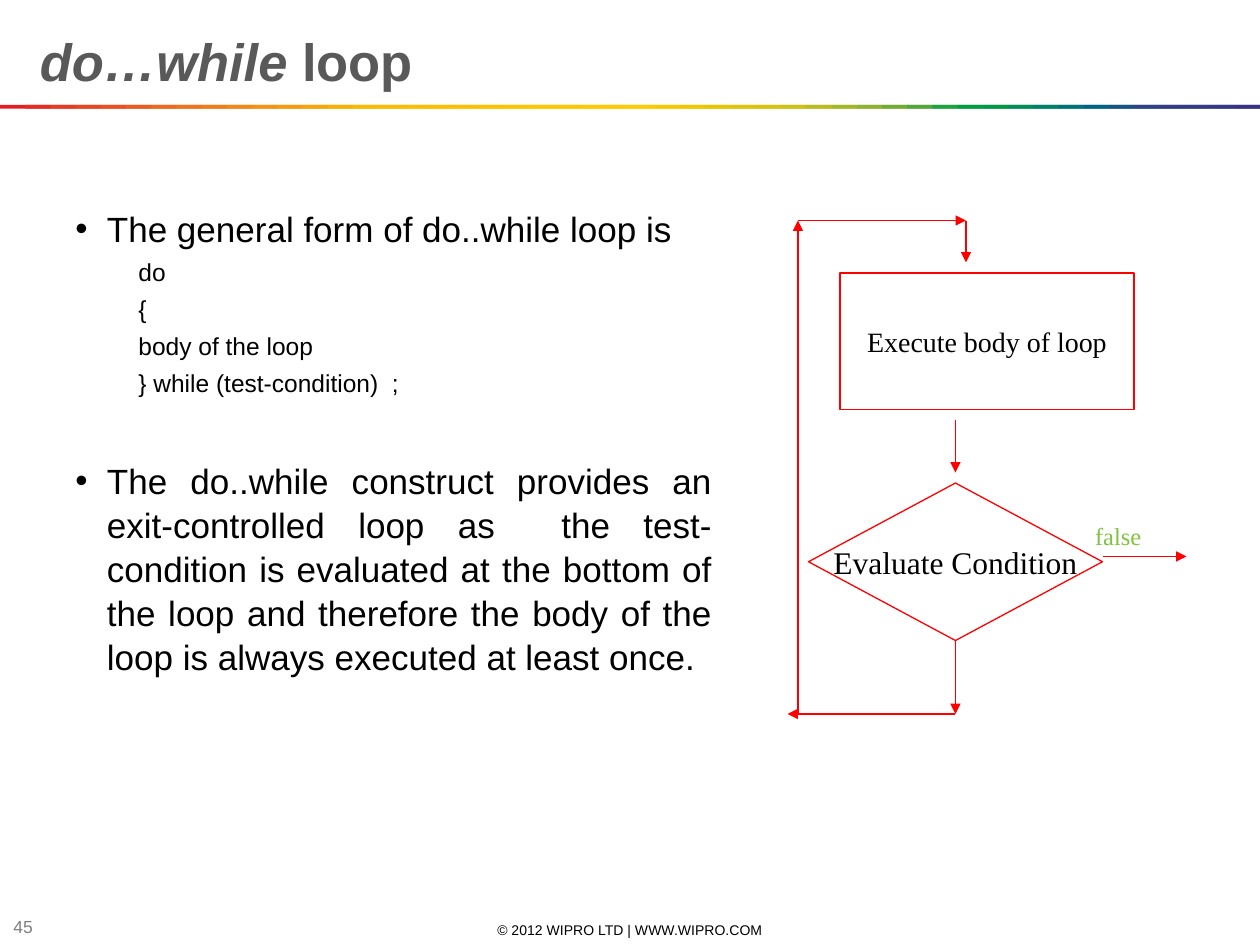
from dataclasses import dataclass
from lxml.etree import SubElement
from pptx import Presentation
from pptx.dml.color import RGBColor
from pptx.enum.shapes import MSO_CONNECTOR, MSO_SHAPE
from pptx.enum.text import MSO_ANCHOR, PP_ALIGN
from pptx.oxml.ns import qn
from pptx.util import Inches, Pt

COLUMNS, ROWS = 120, 90
RAINBOW = """
E31E24 E42C24 E53A24 E74623 E85122 EA5D21 EC691F EE741D EF7E1A F18817
F39314 F49C0F F6A607 F8B002 FBBA00 FBBB00 FBBD00 FCBF00 FCC000 FCC200
FDC400 FDC600 FDC700 FEC900 FECB00 FBCB00 F3CA00 ECC800 E4C602 DCC50A
D5C30E CCC117 B8BC21 A3B829 8CB230 71AD36 51A73B 1DA240 009D43 009846
008C57 008068 007275 00637F 185384 2E4285 313E85 333B85 353885 393185
""".split()
CODE_LINES = ["do", "{", "body of the loop", "} while (test-condition)  ;"]
CONSTRUCT = (
    "The do..while construct provides an exit-controlled loop as  the "
    "test-condition is evaluated at the bottom of the loop and therefore "
    "the body of the loop is always executed at least once."
)


def color(hex_text):
    return RGBColor.from_string(hex_text)


@dataclass
class SlideBuilder:
    """Draws styled elements on a grid laid over the current slide."""

    presentation: object
    slide: object = None
    sans: str = "Arial"
    serif: str = "Times New Roman"
    ink: str = "000000"
    flow: str = "FF0000"
    flow_width: float = 0.75
    leading: float = 1.05

    def x(self, columns):
        return round(self.presentation.slide_width * columns / COLUMNS)

    def y(self, rows):
        return round(self.presentation.slide_height * rows / ROWS)

    def box(self, left, top, width, height):
        return self.x(left), self.y(top), self.x(width), self.y(height)

    def add_slide(self):
        self.slide = self.presentation.slides.add_slide(self.presentation.slide_layouts[5])

    def run(self, paragraph, text, size, font=None, hex_text=None, bold=None, italic=None):
        run = paragraph.add_run()
        run.text = text
        run.font.name = font or self.sans
        run.font.size = Pt(size)
        run.font.bold, run.font.italic = bold, italic
        run.font.color.rgb = color(hex_text or self.ink)

    def title(self, place, runs, size, hex_text):
        title = self.slide.shapes.title
        title.left, title.top, title.width, title.height = self.box(*place)
        title.text_frame.vertical_anchor = MSO_ANCHOR.MIDDLE
        paragraph = title.text_frame.paragraphs[0]
        paragraph.alignment = PP_ALIGN.LEFT
        paragraph.line_spacing = self.leading
        for text, italic in runs:
            self.run(paragraph, text, size, hex_text=hex_text, bold=True, italic=italic)

    def text_box(self, place, anchor=MSO_ANCHOR.TOP):
        frame = self.slide.shapes.add_textbox(*self.box(*place)).text_frame
        frame.word_wrap = True
        frame.vertical_anchor = anchor
        return frame

    def label(self, place, text, size, align, anchor=MSO_ANCHOR.MIDDLE, **style):
        paragraph = self.text_box(place, anchor).paragraphs[0]
        paragraph.alignment = align
        self.run(paragraph, text, size, **style)

    def indented(self, paragraph, text, size, margin, hanging, before=0, bullet=None):
        properties = paragraph._p.get_or_add_pPr()
        properties.set("marL", str(Inches(margin)))
        properties.set("indent", str(-Inches(hanging)))
        if bullet:
            bullet_color = SubElement(properties, qn("a:buClr"))
            SubElement(bullet_color, qn("a:srgbClr"), val=self.ink)
            SubElement(properties, qn("a:buFont"), typeface=self.sans)
            SubElement(properties, qn("a:buChar"), char=bullet)
        paragraph.alignment = PP_ALIGN.JUSTIFY if bullet else PP_ALIGN.LEFT
        paragraph.line_spacing = self.leading
        paragraph.space_before = Pt(before)
        self.run(paragraph, text, size)

    def rainbow_rule(self, top, height):
        group = self.slide.shapes.add_group_shape()
        step = COLUMNS / len(RAINBOW)
        for index, hex_text in enumerate(RAINBOW):
            left = index * step
            width = min(2 * step, COLUMNS - left)
            shape = group.shapes.add_shape(MSO_SHAPE.RECTANGLE, *self.box(left, top, width, height))
            shape.shadow.inherit = False
            shape.fill.solid()
            shape.fill.fore_color.rgb = color(hex_text)
            shape.line.fill.background()

    def flow_step(self, kind, place, text, size):
        shape = self.slide.shapes.add_shape(kind, *self.box(*place))
        shape.shadow.inherit = False
        shape.fill.background()
        shape.line.color.rgb = color(self.flow)
        shape.line.width = Pt(self.flow_width)
        frame = shape.text_frame
        frame.word_wrap = False
        frame.vertical_anchor = MSO_ANCHOR.MIDDLE
        frame.paragraphs[0].alignment = PP_ALIGN.CENTER
        self.run(frame.paragraphs[0], text, size, self.serif)
        return shape

    def arrow(self, start, end):
        connector = self.slide.shapes.add_connector(
            MSO_CONNECTOR.STRAIGHT,
            self.x(start[0]), self.y(start[1]), self.x(end[0]), self.y(end[1]),
        )
        connector.line.color.rgb = color(self.flow)
        connector.line.width = Pt(self.flow_width)
        SubElement(connector.line._get_or_add_ln(), qn("a:tailEnd"), type="triangle")
        SubElement(connector._element.spPr, qn("a:effectLst"))
        return connector


def main():
    presentation = Presentation()
    presentation.slide_width, presentation.slide_height = Inches(10), Inches(7.5)
    builder = SlideBuilder(presentation)
    builder.add_slide()

    builder.label((41, 87.6, 38, 1.9), "© 2012 WIPRO LTD | WWW.WIPRO.COM", 8, PP_ALIGN.CENTER)
    builder.label((0.1, 87.3, 4.7, 1.9), "45", 10, PP_ALIGN.LEFT, hex_text="7F7F7F")
    builder.rainbow_rule(10, 0.36)
    builder.title((2.6, 2, 111.4, 7.3), [("do…while ", True), ("loop", False)], 30, "595959")

    body = builder.text_box((6, 19, 63, 63))
    builder.indented(
        body.paragraphs[0], "The general form of do..while loop is", 20, 0.25, 0.25, bullet="•"
    )
    for line in CODE_LINES:
        builder.indented(body.add_paragraph(), line, 14, 0.81, 0.31, before=3.5)
    builder.indented(body.add_paragraph(), CONSTRUCT, 20, 0.25, 0.25, before=34, bullet="•")

    condition = builder.flow_step(MSO_SHAPE.DIAMOND, (77, 46, 28, 15), "Evaluate Condition", 18)
    builder.flow_step(MSO_SHAPE.RECTANGLE, (80, 26, 28, 13), "Execute body of loop", 16)
    builder.arrow((91, 40), (91, 45))
    builder.arrow((92, 21), (92, 25))
    builder.arrow((91, 61), (91, 68)).begin_connect(condition, 2)
    builder.arrow((91, 68), (75, 68))
    builder.arrow((76, 68), (76, 21))
    builder.arrow((76, 21), (92, 21))
    builder.label(
        (101, 49, 11, 4), "false", 14, PP_ALIGN.CENTER, MSO_ANCHOR.TOP,
        font=builder.serif, hex_text="81C240",
    )
    builder.arrow((105, 53), (113, 53))
    presentation.save("out.pptx")


if __name__ == "__main__":
    main()
